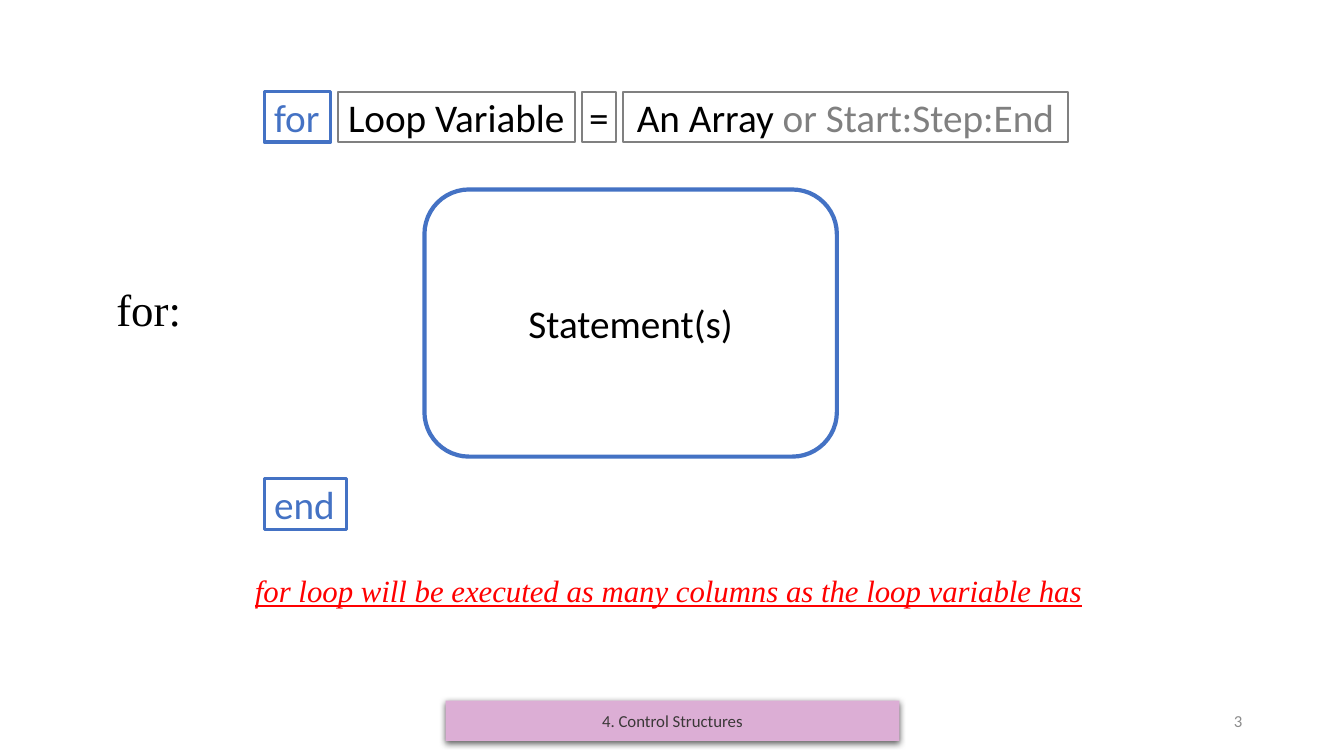
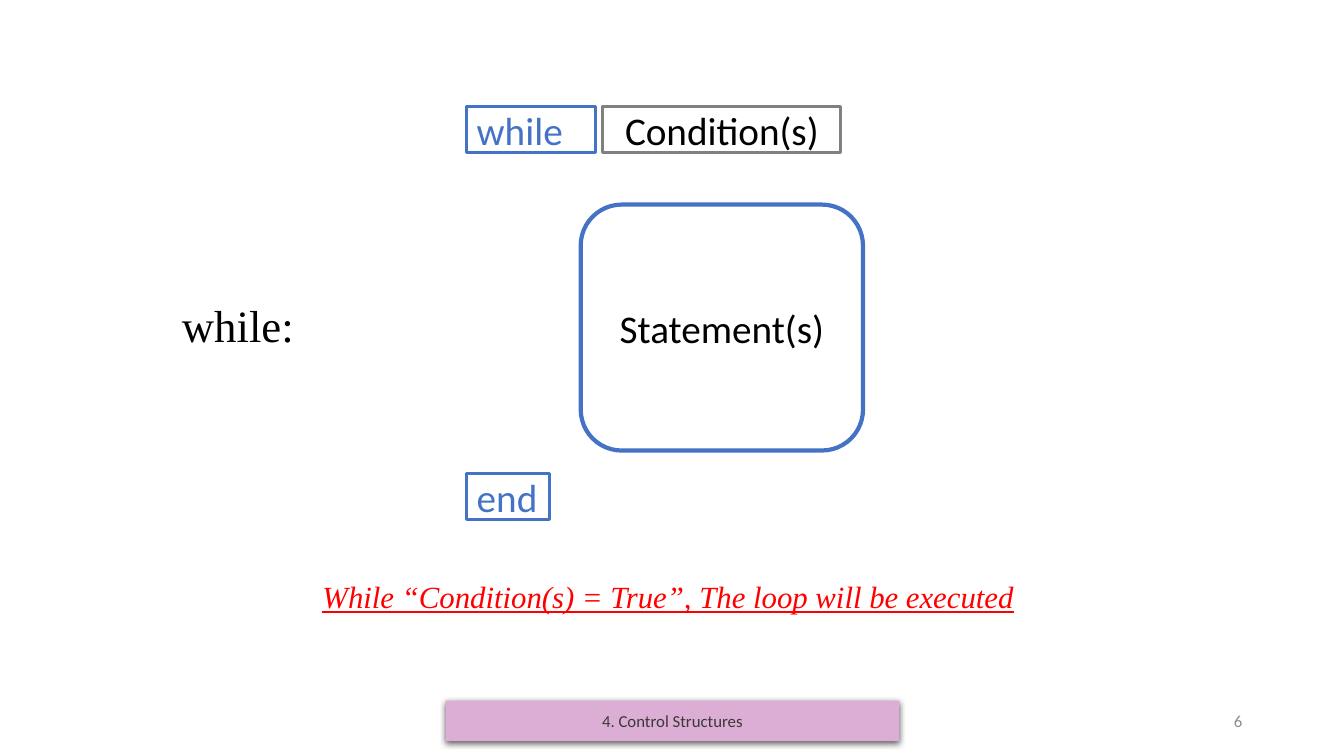
from dataclasses import dataclass

from lxml import etree
from pptx import Presentation
from pptx.dml.color import RGBColor
from pptx.enum import shapes, text
from pptx.oxml import ns
from pptx.util import Inches, Pt


@dataclass(frozen=True)
class Theme:
    black: str = "000000"
    keyword: str = "4472C4"
    grey: str = "808080"
    note: str = "FF0000"
    band: str = "DCAED5"
    band_text: str = "3B3838"
    number: str = "8C8C8C"
    sans: str = "Calibri"
    serif: str = "Times New Roman"
    title_size: int = 32
    code_size: int = 28
    note_size: int = 22
    footer_size: int = 12
    keyword_line: float = 2.25
    body_line: float = 3


THEME = Theme()
FOOTER = "4. Control Structures"
HEADER_GAP = 0.07
LEFT, CENTER, RIGHT = text.PP_ALIGN.LEFT, text.PP_ALIGN.CENTER, text.PP_ALIGN.RIGHT

# Boxes are (left, top, width, height) in inches.
# Each header part is (width, runs); the first part is the keyword.
LOOPS = [
    {
        "title": ("for:", (0.99, 2.37, 0.97, 1.45)),
        "header_at": (2.62, 0.91),
        "header": [
            (0.66, [("for", THEME.keyword)]),
            (2.35, [("Loop Variable", THEME.black)]),
            (0.34, [("=", THEME.black)]),
            (4.41, [("An Array ", THEME.black), ("or Start:Step:End", THEME.grey)]),
        ],
        "row_height": 0.5,
        "part_line": 1.5,
        "body": (4.21, 1.88, 4.09, 2.65),
        "end_top": 4.75,
        "note": ("for loop will be executed as many columns as the loop variable has",
                 (2.43, 5.62, 8.49, 0.47)),
        "number": 3,
    },
    {
        "title": ("while:", (1.63, 2.53, 1.46, 1.45)),
        "header_at": (4.63, 1.06),
        "header": [
            (1.28, [("while", THEME.keyword)]),
            (2.36, [("Condition(s)", THEME.black)]),
        ],
        "row_height": 0.45,
        "part_line": 2.25,
        "body": (5.76, 2.03, 2.8, 2.44),
        "end_top": 4.7,
        "note": ("While “Condition(s) = True”, The loop will be executed",
                 (3.1, 5.68, 7.14, 0.47)),
        "number": 6,
    },
]


def write(shape, runs, size, font=THEME.sans, align=CENTER, wrap=True, italic=False,
          underline=False, spacing=None, anchor=text.MSO_ANCHOR.MIDDLE):
    """Fill a shape with one paragraph of (words, colour) runs."""
    frame = shape.text_frame
    frame.word_wrap = wrap
    frame.vertical_anchor = anchor
    paragraph = frame.paragraphs[0]
    paragraph.alignment = align
    if spacing:
        paragraph.line_spacing = spacing
    for words, colour in runs:
        run = paragraph.add_run()
        run.text = words
        run.font.name = font
        run.font.size = Pt(size)
        run.font.italic = italic
        run.font.underline = underline
        run.font.color.rgb = RGBColor.from_string(colour)


def add_text(slide, box, runs, size, **style):
    shape = slide.shapes.add_textbox(*map(Inches, box))
    write(shape, runs, size, **style)


def add_box(slide, box, line=None, line_width=0, fill=None,
            kind=shapes.MSO_SHAPE.RECTANGLE):
    shape = slide.shapes.add_shape(kind, *map(Inches, box))
    shape.shadow.inherit = False
    if fill:
        shape.fill.solid()
        shape.fill.fore_color.rgb = RGBColor.from_string(fill)
    else:
        shape.fill.background()
    if line:
        shape.line.color.rgb = RGBColor.from_string(line)
        shape.line.width = Pt(line_width)
    else:
        shape.line.fill.background()
    return shape


def add_code_box(slide, box, runs, line, line_width, align=CENTER):
    shape = add_box(slide, box, line, line_width)
    # Narrow side margins keep the words of a tight box on one line.
    shape.text_frame.margin_left = Inches(0.1 if align == LEFT else 0.02)
    shape.text_frame.margin_right = Inches(0.02)
    write(shape, runs, THEME.code_size, align=align)


def add_keyword(slide, box, runs):
    add_code_box(slide, box, runs, THEME.keyword, THEME.keyword_line, LEFT)


def drop_shadow(shape):
    effects = shape._element.spPr.find(ns.qn("a:effectLst"))
    shadow = etree.SubElement(effects, ns.qn("a:outerShdw"), blurRad=str(Pt(4.5)),
                              dist=str(Pt(1.5)), dir="5400000", rotWithShape="0")
    colour = etree.SubElement(shadow, ns.qn("a:srgbClr"), val=THEME.black)
    etree.SubElement(colour, ns.qn("a:alpha"), val="63000")


def add_footer(slide, number):
    add_text(slide, (9.42, 6.95, 3, 0.4), [(str(number), THEME.number)],
             THEME.footer_size, align=RIGHT)
    band = add_box(slide, (4.42, 6.95, 4.5, 0.4), fill=THEME.band)
    drop_shadow(band)
    write(band, [(FOOTER, THEME.band_text)], THEME.footer_size)


def add_header(slide, loop):
    left, top = loop["header_at"]
    for index, (width, runs) in enumerate(loop["header"]):
        box = (left, top, width, loop["row_height"])
        if index == 0:
            add_keyword(slide, box, runs)
        else:
            add_code_box(slide, box, runs, THEME.grey, loop["part_line"])
        left += width + HEADER_GAP


def add_loop_slide(presentation, loop):
    slide = presentation.slides.add_slide(presentation.slide_layouts[6])
    title, title_box = loop["title"]
    add_text(slide, title_box, [(title, THEME.black)], THEME.title_size,
             font=THEME.serif, spacing=0.9)
    add_footer(slide, loop["number"])
    add_header(slide, loop)
    add_keyword(slide, (loop["header_at"][0], loop["end_top"], 0.82, loop["row_height"]),
                [("end", THEME.keyword)])
    body = add_box(slide, loop["body"], THEME.keyword, THEME.body_line,
                   kind=shapes.MSO_SHAPE.ROUNDED_RECTANGLE)
    write(body, [("Statement(s)", THEME.black)], THEME.code_size)
    note, note_box = loop["note"]
    add_text(slide, note_box, [(note, THEME.note)], THEME.note_size, font=THEME.serif,
             align=LEFT, wrap=False, italic=True, underline=True,
             anchor=text.MSO_ANCHOR.TOP)


def main():
    presentation = Presentation()
    presentation.slide_width = Inches(13.33)
    presentation.slide_height = Inches(7.5)
    for loop in LOOPS:
        add_loop_slide(presentation, loop)
    presentation.save("out.pptx")


if __name__ == "__main__":
    main()
